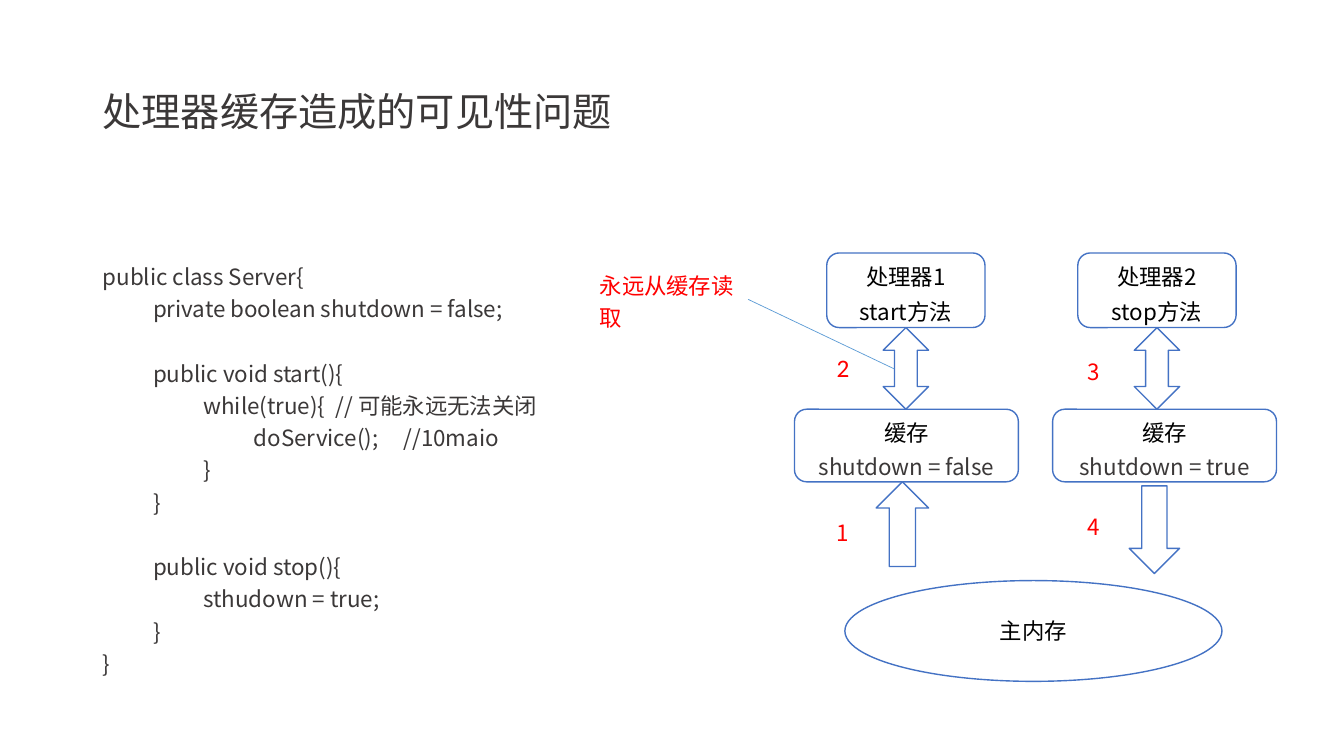
from lxml.etree import SubElement
from pptx import Presentation
from pptx.dml.color import RGBColor
from pptx.enum.shapes import MSO_CONNECTOR, MSO_SHAPE
from pptx.enum.text import MSO_ANCHOR, MSO_AUTO_SIZE, PP_ALIGN
from pptx.oxml.ns import qn
from pptx.util import Pt

PX = 9144  # EMU per px, 100 px to the inch
INDENT = 50

DARK = RGBColor(0x3B, 0x38, 0x38)
BLACK = RGBColor(0x00, 0x00, 0x00)
WHITE = RGBColor(0xFF, 0xFF, 0xFF)
RED = RGBColor(0xFF, 0x00, 0x00)
BLUE = RGBColor(0x44, 0x72, 0xC4)
LIGHT_BLUE = RGBColor(0x5B, 0x9B, 0xD5)


def write(p, text, size=16, color=DARK, font="Noto Sans CJK SC",
          spacing=1.2, align=PP_ALIGN.LEFT, level=0, before=0):
    """Write one formatted paragraph."""
    if level:
        p.level = level
        pPr = p._p.get_or_add_pPr()
        pPr.set("marL", str(level * INDENT * PX))
        pPr.set("indent", "0")
    p.alignment = align
    p.line_spacing = spacing
    if before:
        p.space_before = Pt(before)
    r = p.add_run()
    r.text = text
    r.font.size = Pt(size)
    r.font.color.rgb = color
    r.font.name = font
    SubElement(r._r.get_or_add_rPr(), qn("a:ea"), typeface=font)


class Canvas:
    """Current slide and its drawing style."""

    def __init__(self, prs):
        self.shapes = prs.slides.add_slide(prs.slide_layouts[6]).shapes

    def text(self, x, y, w, h, lines, wrap=True, anchor=MSO_ANCHOR.TOP,
             fit=True, **style):
        """Each line is a (text, own format) pair."""
        sp = self.shapes.add_textbox(x * PX, y * PX, w * PX, h * PX)
        tf = sp.text_frame
        tf.word_wrap = wrap
        tf.vertical_anchor = anchor
        tf.auto_size = (MSO_AUTO_SIZE.SHAPE_TO_FIT_TEXT if fit
                        else MSO_AUTO_SIZE.NONE)
        self.fill_text(tf, lines, style)

    def shape(self, kind, x, y, w, h, lines=(), **style):
        sp = self.shapes.add_shape(kind, x * PX, y * PX, w * PX, h * PX)
        sp.shadow.inherit = False
        sp.fill.solid()
        sp.fill.fore_color.rgb = WHITE
        sp.line.color.rgb = BLUE
        sp.line.width = Pt(1)
        tf = sp.text_frame
        tf.word_wrap = True
        tf.vertical_anchor = MSO_ANCHOR.MIDDLE
        self.fill_text(tf, lines,
                       {"color": BLACK, "align": PP_ALIGN.CENTER, **style})

    def line(self, x1, y1, x2, y2):
        cn = self.shapes.add_connector(MSO_CONNECTOR.STRAIGHT, x1 * PX,
                                       y1 * PX, x2 * PX, y2 * PX)
        cn.line.color.rgb = LIGHT_BLUE
        cn.line.width = Pt(0.5)
        SubElement(cn._element.spPr, qn("a:effectLst"))

    def fill_text(self, tf, lines, style):
        for i, (text, own) in enumerate(lines):
            p = tf.add_paragraph() if i else tf.paragraphs[0]
            write(p, text, **{**style, **own})


def main():
    prs = Presentation()
    prs.slide_width, prs.slide_height = 1333 * PX, 750 * PX
    s = Canvas(prs)

    # Title
    s.text(92, 40, 1150, 145, [("处理器缓存造成的可见性问题", {})], size=28,
           spacing=0.9, anchor=MSO_ANCHOR.MIDDLE, fit=False)

    # Code: indent level, space before, text
    code = [
        (0, 0, "public class Server{"),
        (1, 0, "private boolean shutdown = false;"),
        (1, 23, "public void start(){"),
        (2, 0, "while(true){  // 可能永远无法关闭"),
        (3, 0, "doService();     //10maio"),
        (2, 0, "}"),
        (1, 0, "}"),
        (1, 23, "public void stop(){"),
        (2, 0, "sthudown = true;"),
        (1, 0, "}"),
        (0, 0, "}"),
    ]
    s.text(92, 251, 584, 425, [(text, {"level": level, "before": before})
                               for level, before, text in code])

    # Processors with their caches
    processors = [
        (820, 788, ["处理器1 start方法"], "shutdown = false"),
        (1069, 1044, ["处理器2", "stop方法"], "shutdown = true"),
    ]
    for x, cache_x, names, value in processors:
        s.shape(MSO_SHAPE.ROUNDED_RECTANGLE, x, 251, 157, 74,
                [(name, {}) for name in names], spacing=1.3)
        s.shape(MSO_SHAPE.ROUNDED_RECTANGLE, cache_x, 406, 222, 72,
                [("缓存", {}), (value, {"color": DARK})], spacing=1.3)
        s.shape(MSO_SHAPE.UP_DOWN_ARROW, x + 56, 325, 45, 81)

    # Main memory and its arrows
    s.shape(MSO_SHAPE.OVAL, 838, 576, 374, 100, [("主内存", {})], spacing=1.0)
    s.shape(MSO_SHAPE.UP_ARROW, 869, 478, 52, 84)
    s.shape(MSO_SHAPE.DOWN_ARROW, 1120, 482, 50, 87)

    # Callout
    s.line(742, 297, 887, 366)
    s.text(585, 260, 157, 74, [("永远从缓存读取", {})], color=RED)

    # Step numbers
    for number, x, y in [("1", 820, 505), ("3", 1069, 345), ("4", 1069, 499)]:
        s.text(x, y, 49, 42, [(number, {})], color=RED)
    s.text(820, 345, 33, 40, [("2", {})], wrap=False, color=RED, size=18,
           font="Calibri", spacing=1.0)

    prs.save("out.pptx")


if __name__ == "__main__":
    main()
